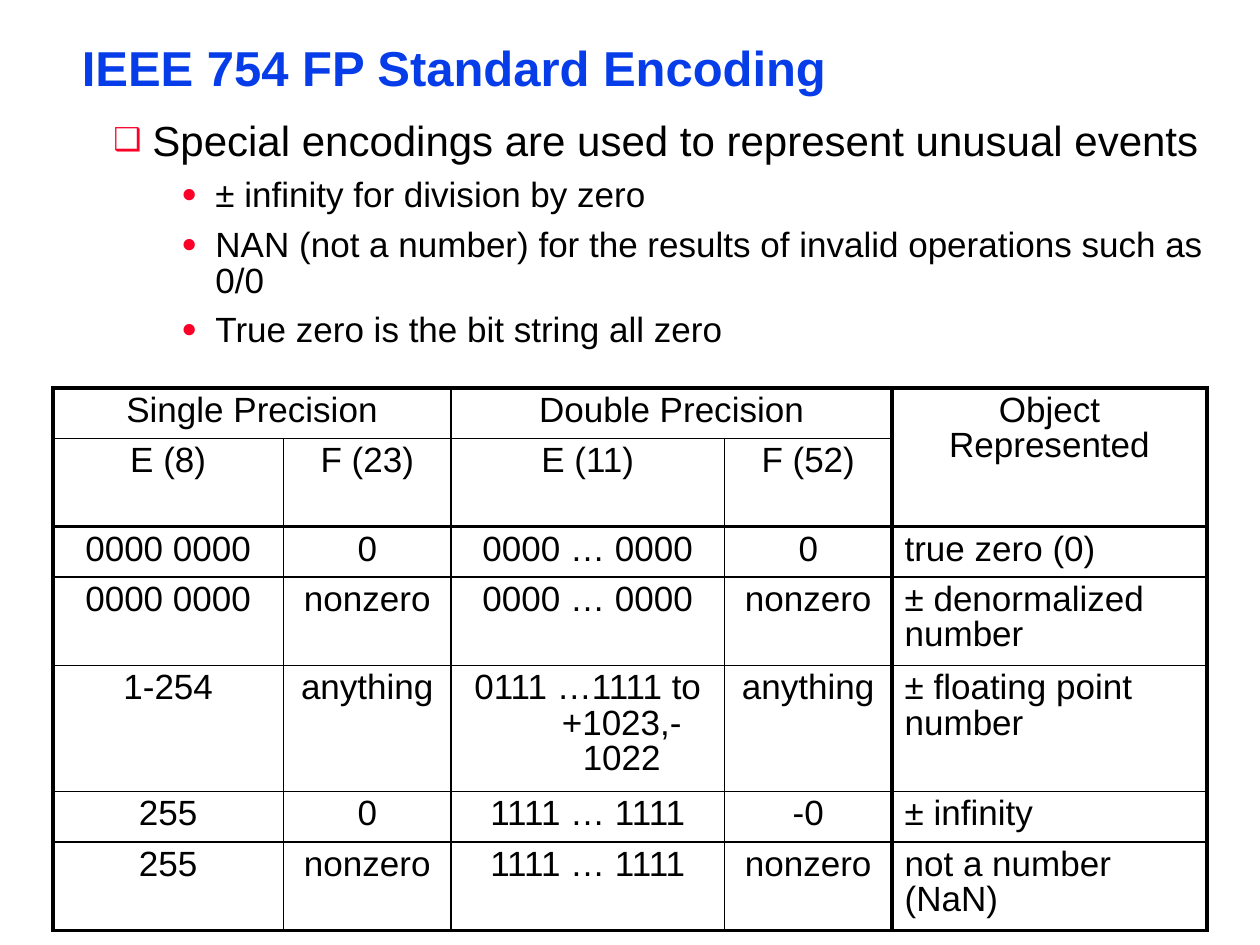
import pptx
import pptx.util
import pptx.dml.color
import pptx.enum.text
import pptx.oxml.ns
import lxml.etree

Inches = pptx.util.Inches
Pt = pptx.util.Pt
RGB = pptx.dml.color.RGBColor
ALIGN = pptx.enum.text.PP_ALIGN

BLUE = RGB(0x06, 0x3D, 0xE8)
RED = RGB(0xFC, 0x01, 0x28)
BLACK = RGB(0, 0, 0)

TITLE = {"size": Pt(28), "bold": True}
LEAD = {"size": Pt(24)}
PLAIN = {"size": Pt(20)}

POINTS = [
    (0, "Special encodings are used to represent unusual events"),
    (1, "± infinity for division by zero"),
    (1, "NAN (not a number) for the results of invalid operations such as 0/0"),
    (1, "True zero is the bit string all zero"),
]
# Per level: mark, left margin, hanging indent, line spacing, space before, font
LEVELS = [
    ("❑", 0.31, 0.31, 0.9, 0, LEAD),
    ("●", 0.81, 0.27, 0.85, 8, PLAIN),
]

COLS = [1.83, 1.33, 2.17, 1.33, 2.5]
ROW = 0.38
CELLS = [
    ["Single Precision", "", "Double Precision", "", "Object Represented"],
    ["E (8)", "F (23)", "E (11)", "F (52)", ""],
    ["0000 0000", "0", "0000 … 0000", "0", "true zero (0)"],
    ["0000 0000", "nonzero", "0000 … 0000", "nonzero", "± denormalized number"],
    ["1-254", "anything", "0111 …1111 to\n+1023,-1022", "anything",
     "± floating point number"],
    ["255", "0", "1111 … 1111", "-0", "± infinity"],
    ["255", "nonzero", "1111 … 1111", "nonzero", "not a number (NaN)"],
]
MERGES = [(0, 0, 0, 1), (0, 2, 0, 3), (0, 4, 1, 4)]
# Grid lines drawn thick, counted from the left and from the top
THICK_X = (0, 4, 5)
THICK_Y = (0, 2, 7)


def add_sub(node, tag, **attrs):
    return lxml.etree.SubElement(node, pptx.oxml.ns.qn(tag), attrs)


def set_font(para, form, color=BLACK):
    para.font.name = "Arial"
    para.font.color.rgb = color
    for key, val in form.items():
        setattr(para.font, key, val)


def set_para(para, text, form, line, color=BLACK):
    para.text = text
    para.line_spacing = line
    set_font(para, form, color)


def add_box(slide, box):
    frame = slide.shapes.add_textbox(*map(Inches, box)).text_frame
    form = {"word_wrap": True,
            "margin_left": Inches(0.07), "margin_right": Inches(0.07),
            "margin_top": Inches(0.03), "margin_bottom": Inches(0.03)}
    for key, val in form.items():
        setattr(frame, key, val)
    return frame


def add_title(slide, box):
    frame = add_box(slide, box)
    set_para(frame.paragraphs[0], "IEEE 754 FP Standard Encoding",
             TITLE, 0.87, BLUE)


def add_mark(para, mark, left, hang):
    props = para._p.get_or_add_pPr()
    props.set("marL", str(Inches(left)))
    props.set("indent", str(-Inches(hang)))
    tint = add_sub(props, "a:buClr")
    add_sub(tint, "a:srgbClr", val=str(RED))
    add_sub(props, "a:buSzPct", val="75000")
    add_sub(props, "a:buFont", typeface="Arial")
    add_sub(props, "a:buChar", char=mark)


def add_points(slide, box):
    frame = add_box(slide, box)
    for i, (level, text) in enumerate(POINTS):
        para = frame.add_paragraph() if i else frame.paragraphs[0]
        mark, left, hang, line, gap, form = LEVELS[level]
        add_mark(para, mark, left, hang)
        para.level = level
        para.space_before = Pt(gap)
        set_para(para, text, form, line)


def add_edges(cell, r, c):
    props = cell._tc.get_or_add_tcPr()
    edges = {"a:lnL": c in THICK_X,
             "a:lnR": c + cell.span_width in THICK_X,
             "a:lnT": r in THICK_Y,
             "a:lnB": r + cell.span_height in THICK_Y}
    for tag, thick in edges.items():
        edge = add_sub(props, tag, w=str(Pt(2.25 if thick else 1)))
        fill = add_sub(edge, "a:solidFill")
        add_sub(fill, "a:srgbClr", val=str(BLACK))
    cell.fill.background()


def fill_cell(cell, text, align):
    for i, part in enumerate(text.split("\n")):
        para = cell.text_frame.add_paragraph() if i else cell.text_frame.paragraphs[0]
        if i:
            # A continued line is set in from the left
            para._p.get_or_add_pPr().set("marL", str(Inches(0.54)))
        para.alignment = align
        set_para(para, part, PLAIN, 0.9)


class Span:
    """Size of a cell in grid steps."""


def add_grid(slide, box):
    frame = slide.shapes.add_table(len(CELLS), len(COLS), *map(Inches, box))
    table = frame.table
    table.first_row = table.horz_banding = False
    for col, width in zip(table.columns, COLS):
        col.width = Inches(width)
    for row in table.rows:
        row.height = Inches(ROW)
    frame.height = Inches(box[3])
    for top, left, bottom, right in MERGES:
        table.cell(top, left).merge(table.cell(bottom, right))
    for r, row in enumerate(CELLS):
        for c, text in enumerate(row):
            cell = table.cell(r, c)
            if cell.is_spanned:
                continue
            note = c == len(COLS) - 1 and r > 1
            fill_cell(cell, text, ALIGN.LEFT if note else ALIGN.CENTER)
            add_edges(cell, r, c)


def main():
    deck = pptx.Presentation()
    deck.slide_width, deck.slide_height = Inches(10), Inches(7.5)
    slide = deck.slides.add_slide(deck.slide_layouts[6])
    add_title(slide, (0.58, 0.33, 8.92, 0.46))
    add_points(slide, (0.83, 0.92, 8.92, 2.08))
    add_grid(slide, (0.42, 3.08, 9.17, 3.7))
    deck.save("out.pptx")


if __name__ == "__main__":
    main()
